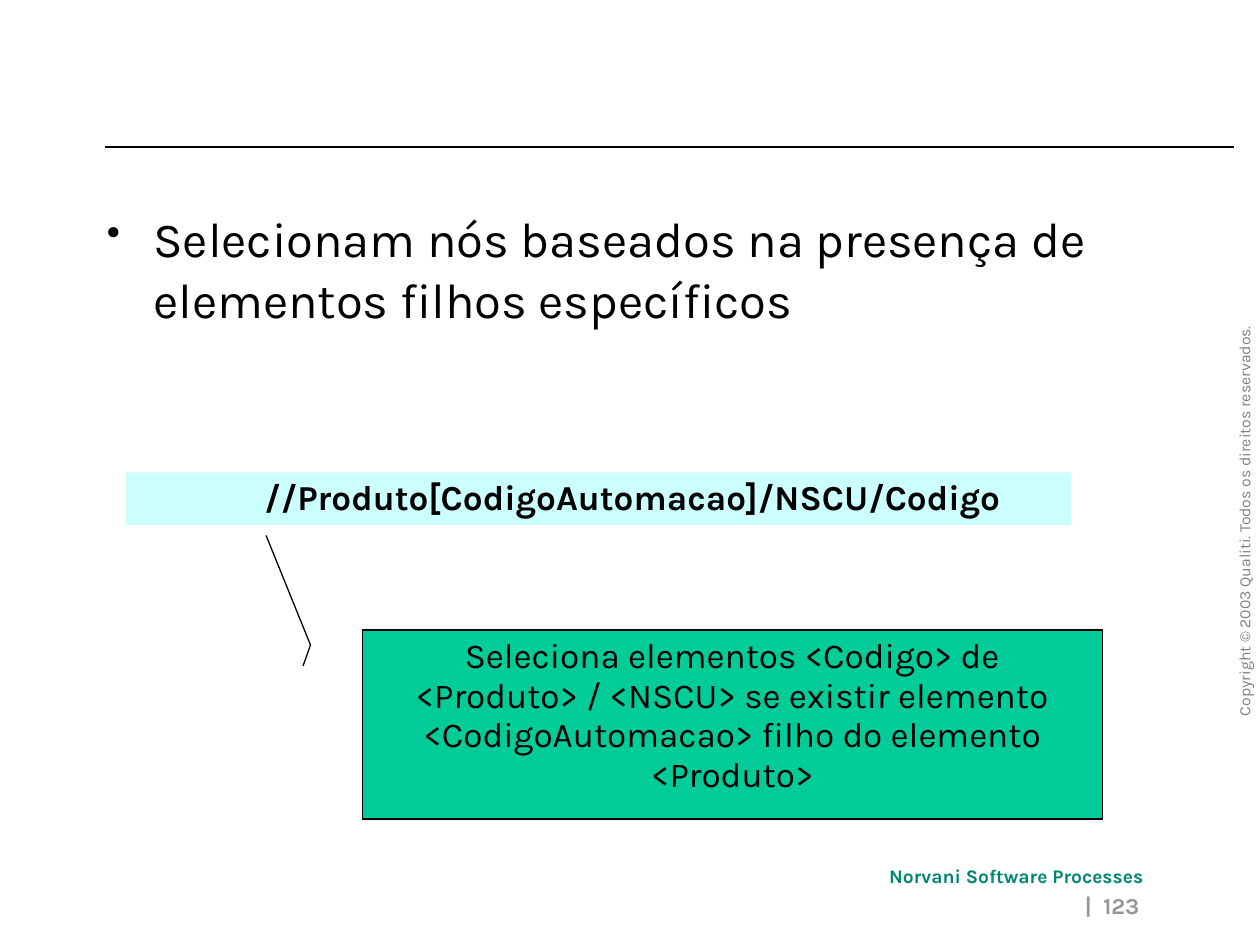
from lxml.etree import SubElement
from pptx import Presentation
from pptx.dml.color import RGBColor
from pptx.enum.shapes import MSO_CONNECTOR, MSO_SHAPE as Shape
from pptx.enum.text import MSO_ANCHOR, MSO_AUTO_SIZE, PP_ALIGN as Align
from pptx.oxml.ns import qn
from pptx.util import Pt

BLACK = RGBColor(0x00, 0x00, 0x00)
GRAY = RGBColor(0x80, 0x80, 0x80)
LIGHT_GRAY = RGBColor(0x96, 0x96, 0x96)
TEAL = RGBColor(0x00, 0x86, 0x73)
GREEN = RGBColor(0x00, 0xCC, 0x99)
PALE_CYAN = RGBColor(0xCC, 0xFF, 0xFF)


class SlideBuilder:
    def __init__(self, page, font="Karla", line_width=0.75):
        self.page = page
        self.font = font
        self.line_width = line_width

    def set_text(self, box, text, size, color=BLACK, bold=False, align=Align.LEFT,
                 spacing=1.0, margin=0, bullet=None):
        """Fill a box with one paragraph; a bullet hangs in the margin."""
        para = box.text_frame.paragraphs[0]
        para.text = text
        para.alignment = align
        para.line_spacing = spacing
        properties = para._p.get_or_add_pPr()
        properties.set("marL", str(Pt(margin)))
        if bullet:
            properties.set("indent", str(-Pt(margin)))
            SubElement(properties, qn("a:buSzPct"), val="80000")
            SubElement(properties, qn("a:buChar"), char=bullet)
        para.font.name = self.font
        para.font.size = Pt(size)
        para.font.bold = bold
        para.font.color.rgb = color

    def text(self, left, top, width, height, text, size, wrap=True, rotation=0, **style):
        box = self.page.shapes.add_textbox(Pt(left), Pt(top), Pt(width), Pt(height))
        box.rotation = rotation
        box.text_frame.word_wrap = wrap
        box.text_frame.auto_size = MSO_AUTO_SIZE.NONE
        self.set_text(box, text, size, **style)

    def shape(self, kind, left, top, width, height, fill, text, size,
              outline=None, adjustments=(), **style):
        box = self.page.shapes.add_shape(kind, Pt(left), Pt(top), Pt(width), Pt(height))
        box.shadow.inherit = False
        for index, value in enumerate(adjustments):
            box.adjustments[index] = value
        box.fill.solid()
        box.fill.fore_color.rgb = fill
        if outline is None:
            box.line.fill.background()
        else:
            box.line.color.rgb = outline
            box.line.width = Pt(self.line_width)
        box.text_frame.word_wrap = True
        box.text_frame.vertical_anchor = MSO_ANCHOR.TOP
        self.set_text(box, text, size, **style)

    def rule(self, left, right, top):
        line = self.page.shapes.add_connector(
            MSO_CONNECTOR.STRAIGHT, Pt(left), Pt(top), Pt(right), Pt(top))
        line.line.color.rgb = BLACK
        line.line.width = Pt(self.line_width)
        SubElement(line._element.spPr, qn("a:effectLst"))


def main():
    deck = Presentation()
    deck.slide_width, deck.slide_height = Pt(720), Pt(540)
    builder = SlideBuilder(deck.slides.add_slide(deck.slide_layouts[6]))

    builder.rule(60, 705, 84)
    builder.text(587.5, 283.7, 247, 18,
                 "Copyright © 2003 Qualiti. Todos os direitos reservados.", 9,
                 wrap=False, rotation=270, color=GRAY)
    builder.text(501, 490.3, 161.3, 21, "Norvani Software Processes", 11,
                 wrap=False, color=TEAL, bold=True)
    builder.text(310.3, 506.2, 347.8, 23.8, "|  123", 13,
                 color=LIGHT_GRAY, bold=True, align=Align.RIGHT)

    builder.text(54, 114, 612, 371.5,
                 "Selecionam nós baseados na presença de elementos filhos específicos",
                 28, spacing=1.04, margin=26.6, bullet="•")
    builder.shape(Shape.RECTANGLE, 72, 270, 540, 30, PALE_CYAN,
                  "//Produto[CodigoAutomacao]/NSCU/Codigo", 20,
                  bold=True, spacing=0.95, margin=72)
    builder.shape(Shape.LINE_CALLOUT_2, 207, 360, 423, 108, GREEN,
                  "Seleciona elementos <Codigo> de <Produto> / <NSCU> se existir elemento "
                  "<CodigoAutomacao> filho do elemento <Produto>", 20,
                  outline=BLACK, adjustments=(0.19, -0.08, 0.08, -0.07, -0.5, -0.13),
                  align=Align.CENTER, spacing=0.95)

    deck.save("out.pptx")


if __name__ == "__main__":
    main()
